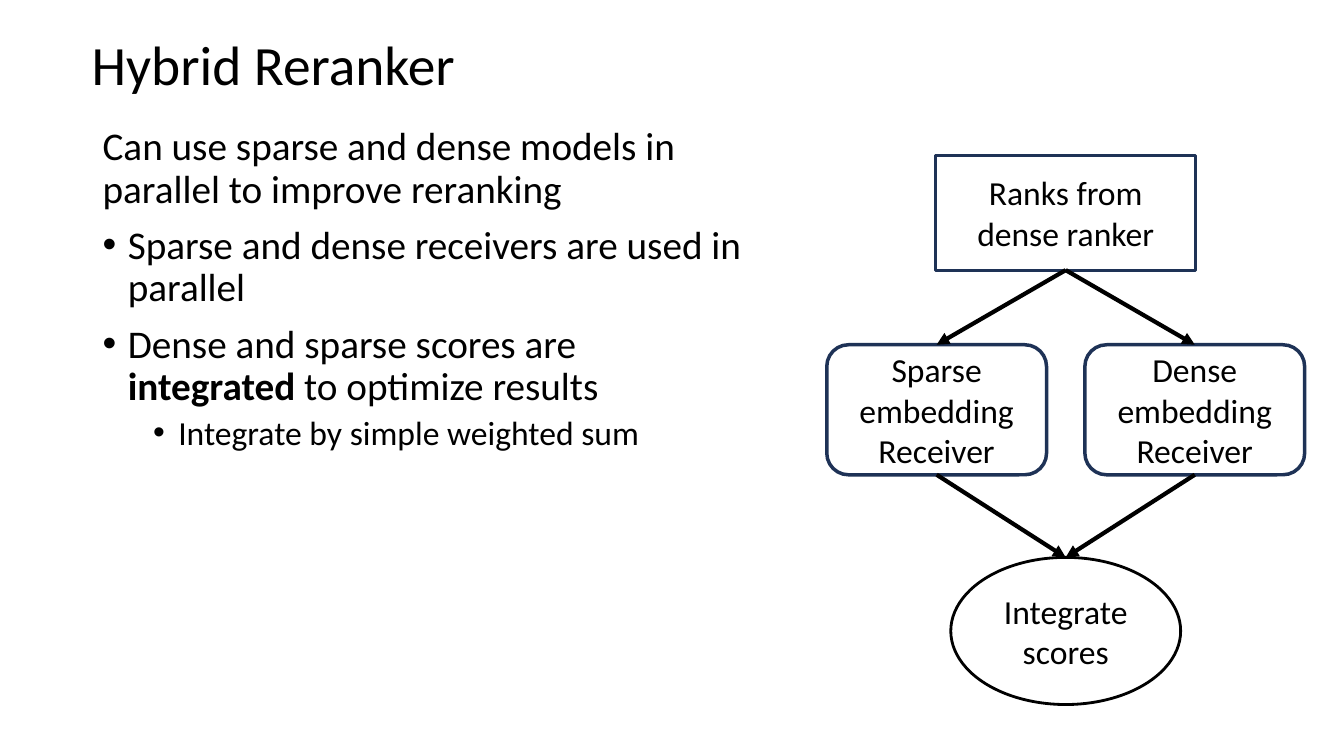
from lxml.etree import SubElement
from pptx import Presentation
from pptx.dml.color import RGBColor
from pptx.enum.shapes import MSO_CONNECTOR as Connector, MSO_SHAPE as Shape
from pptx.enum.text import MSO_ANCHOR as Anchor, PP_ALIGN as Align
from pptx.oxml.ns import qn
from pptx.util import Inches, Pt

COLORS = {"ink": "000000", "navy": "1E3256"}
FONT = "Calibri"
TITLE = "Hybrid Reranker"

# runs as (text, bold), size, space before, left margin of a bulleted line
BODY = [
    ([("Can use sparse and dense models in parallel to improve reranking", False)], 28, 10, None),
    ([("Sparse and dense receivers are used in parallel", False)], 28, 10, 0.25),
    ([("Dense and sparse scores are ", False), ("integrated", True),
      (" to optimize results", False)], 28, 10, 0.25),
    ([("Integrate by simple weighted sum", False)], 24, 5, 0.75),
]
HANGING = 0.25

# name: text, shape, center x offset, top, width, height, line color, line width
CENTER = 10.57
BRANCH = 1.28
NODES = {
    "ranks": ("Ranks from dense ranker", Shape.RECTANGLE, 0, 1.54, 2.58, 1.14, "navy", 2),
    "sparse": ("Sparse embedding Receiver", Shape.ROUNDED_RECTANGLE, -BRANCH, 3.42, 2.18, 1.29,
               "navy", 2.5),
    "dense": ("Dense embedding Receiver", Shape.ROUNDED_RECTANGLE, BRANCH, 3.42, 2.18, 1.29,
              "navy", 2.5),
    "scores": ("Integrate scores", Shape.OVAL, 0, 5.53, 2.28, 1.46, "ink", 2),
}
ARROWS = [("ranks", "sparse"), ("ranks", "dense"), ("sparse", "scores"), ("dense", "scores")]
BOTTOM_SITE, TOP_SITE = 2, 0


def color(name):
    return RGBColor.from_string(COLORS[name])


def style(para, size):
    para.font.name = FONT
    para.font.size = Pt(size)
    para.font.color.rgb = color("ink")


def add_text_box(slide, left, top, width, height):
    frame = slide.shapes.add_textbox(*map(Inches, (left, top, width, height))).text_frame
    frame.word_wrap = True
    return frame


def add_bullet(para, margin):
    props = para._p.get_or_add_pPr()
    props.set("marL", str(Inches(margin)))
    props.set("indent", str(-Inches(HANGING)))
    SubElement(props, qn("a:buFont"), typeface="Arial")
    SubElement(props, qn("a:buChar"), char="•")


def add_title(slide):
    frame = add_text_box(slide, 0.81, 0.32, 11.5, 0.69)
    frame.vertical_anchor = Anchor.MIDDLE
    para = frame.paragraphs[0]
    para.text = TITLE
    para.line_spacing = 0.9
    style(para, 39.6)


def add_body(slide):
    frame = add_text_box(slide, 0.92, 1.21, 6.57, 5.91)
    for index, (runs, size, before, margin) in enumerate(BODY):
        para = frame.add_paragraph() if index else frame.paragraphs[0]
        para.line_spacing = 0.9
        para.space_before = Pt(before)
        if margin is not None:
            add_bullet(para, margin)
        style(para, size)
        for text, bold in runs:
            span = para.add_run()
            span.text = text
            if bold:
                span.font.bold = True


def add_node(slide, text, kind, offset, top, width, height, line, weight):
    left = CENTER + offset - width / 2
    box = slide.shapes.add_shape(kind, *map(Inches, (left, top, width, height)))
    box.shadow.inherit = False
    box.fill.background()
    box.line.color.rgb = color(line)
    box.line.width = Pt(weight)
    frame = box.text_frame
    frame.word_wrap = True
    frame.vertical_anchor = Anchor.MIDDLE
    para = frame.paragraphs[0]
    para.text = text
    para.alignment = Align.CENTER
    style(para, 24)
    return box


def add_arrow(slide, source, target):
    arrow = slide.shapes.add_connector(Connector.STRAIGHT, 0, 0, 0, 0)
    arrow.begin_connect(source, BOTTOM_SITE)
    arrow.end_connect(target, TOP_SITE)
    arrow.line.color.rgb = color("ink")
    arrow.line.width = Pt(3)
    SubElement(arrow.line._get_or_add_ln(), qn("a:tailEnd"), type="triangle")
    SubElement(arrow._element.spPr, qn("a:effectLst"))


def main():
    deck = Presentation()
    deck.slide_width, deck.slide_height = Inches(13.33), Inches(7.5)
    slide = deck.slides.add_slide(deck.slide_layouts[6])
    add_body(slide)
    add_title(slide)
    boxes = {name: add_node(slide, *node) for name, node in NODES.items()}
    for source, target in ARROWS:
        add_arrow(slide, boxes[source], boxes[target])
    deck.save("out.pptx")


if __name__ == "__main__":
    main()
